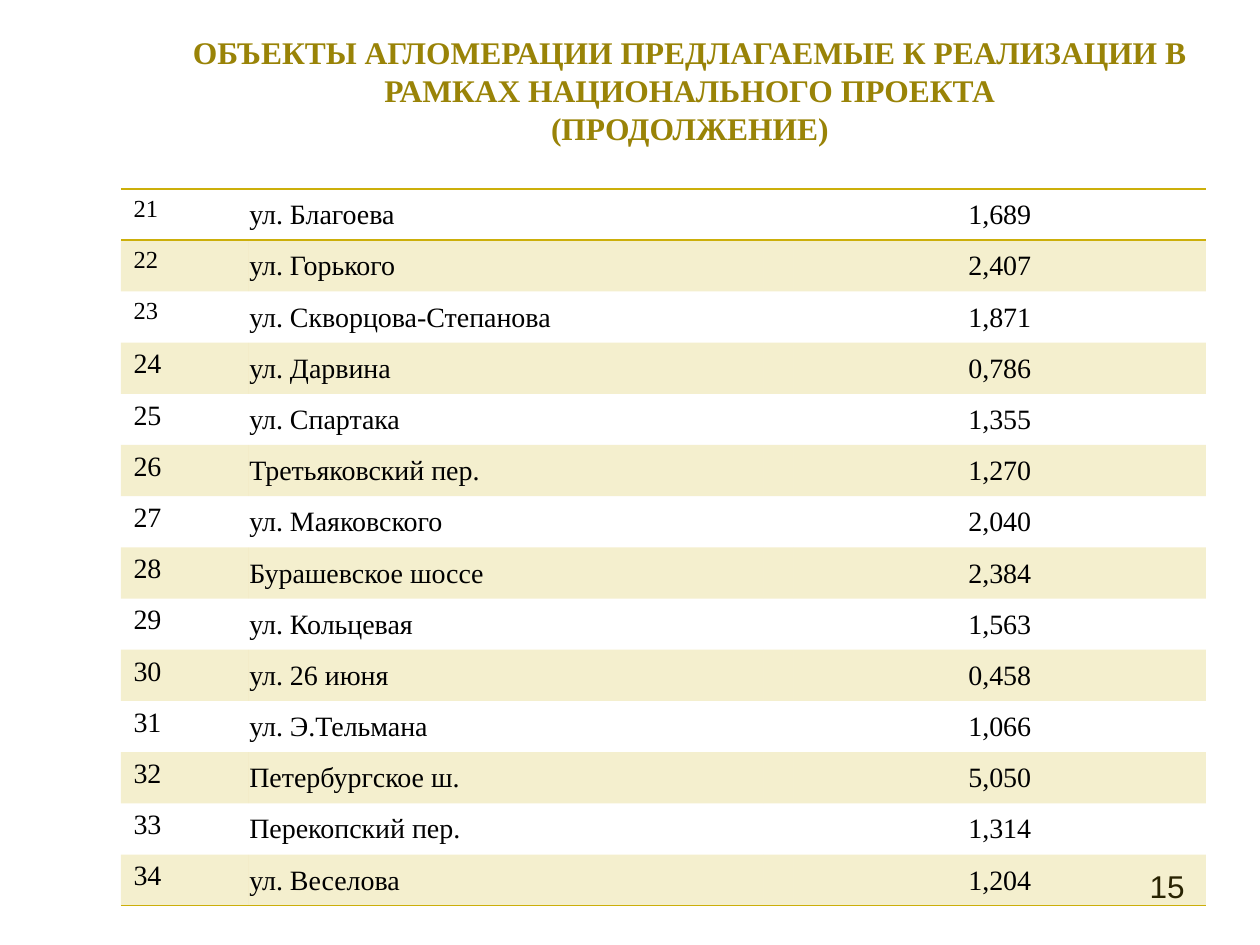
from dataclasses import dataclass

from lxml.etree import SubElement
from pptx import Presentation
from pptx.dml.color import RGBColor
from pptx.enum.text import MSO_ANCHOR as Anchor, PP_ALIGN as Align
from pptx.oxml.ns import qn
from pptx.util import Pt

GOLD = RGBColor(0xCC, 0xAF, 0x0A)
DARK_GOLD = RGBColor(0x99, 0x83, 0x07)
BLACK = RGBColor(0, 0, 0)
SERIF, SANS = "Times New Roman", "Arial"
NO_STYLE = "{2D5ABB26-0587-4C30-8999-92F81FD0307C}"
FIRST_NUMBER = 21
SMALL_NUMBERS = 3
COLUMNS = (72.7, 294.5, 16.6, 235.6)
ROW_HEIGHT = 29.26


@dataclass
class Street:
    name: str
    length: str


STREETS = [
    Street("ул. Благоева", "1,689"),
    Street("ул. Горького", "2,407"),
    Street("ул. Скворцова-Степанова", "1,871"),
    Street("ул. Дарвина", "0,786"),
    Street("ул. Спартака", "1,355"),
    Street("Третьяковский пер.", "1,270"),
    Street("ул. Маяковского", "2,040"),
    Street("Бурашевское шоссе", "2,384"),
    Street("ул. Кольцевая", "1,563"),
    Street("ул. 26 июня", "0,458"),
    Street("ул. Э.Тельмана", "1,066"),
    Street("Петербургское ш.", "5,050"),
    Street("Перекопский пер.", "1,314"),
    Street("ул. Веселова", "1,204"),
]


def style_text(tf, size: float, font: str, color: RGBColor,
               align: Align = Align.LEFT, bold: bool = False) -> None:
    for p in tf.paragraphs:
        p.alignment = align
        for r in p.runs:
            r.font.size, r.font.name, r.font.bold = Pt(size), font, bold
            r.font.color.rgb = color


def add_text(s, text: str, left: float, top: float, width: float, height: float):
    tf = s.shapes.add_textbox(Pt(left), Pt(top), Pt(width), Pt(height)).text_frame
    tf.word_wrap = True
    tf.text = text
    return tf


def add_border(cell, side: str) -> None:
    ln = SubElement(cell._tc.get_or_add_tcPr(), qn(f"a:{side}"), w=str(Pt(1)))
    fill = SubElement(ln, qn("a:solidFill"))
    SubElement(fill, qn("a:srgbClr"), val=str(GOLD))


def fill_band(cell) -> None:
    cell.fill.solid()
    cell.fill.fore_color.rgb = GOLD
    color = cell._tc.tcPr.find(qn("a:solidFill")).find(qn("a:srgbClr"))
    SubElement(color, qn("a:alpha"), val="20000")


def add_streets(s) -> None:
    frame = s.shapes.add_table(len(STREETS), len(COLUMNS), Pt(69.1), Pt(108),
                               Pt(sum(COLUMNS)), Pt(ROW_HEIGHT * len(STREETS)))
    table = frame.table
    table.first_row = table.horz_banding = False
    table._tbl.tblPr.find(qn("a:tableStyleId")).text = NO_STYLE
    for column, width in zip(table.columns, COLUMNS):
        column.width = Pt(width)

    for i, street in enumerate(STREETS):
        table.rows[i].height = Pt(ROW_HEIGHT)
        texts = (str(FIRST_NUMBER + i), street.name, "", street.length)
        for j, text in enumerate(texts):
            cell = table.cell(i, j)
            if text:
                cell.text = text
                size = 14 if j == 0 and i < SMALL_NUMBERS else 16
                align = Align.CENTER if j == 3 else Align.LEFT
                style_text(cell.text_frame, size, SERIF, BLACK, align)
            if j in (1, 3):
                cell.vertical_anchor = Anchor.MIDDLE
                cell.margin_left = cell.margin_right = cell.margin_top = Pt(0.72)
                cell.margin_bottom = Pt(0)
            # Borders come before the fill in the cell properties
            if i == 0:
                add_border(cell, "lnT")
            if i in (0, len(STREETS) - 1):
                add_border(cell, "lnB")
            if i % 2:
                fill_band(cell)
            else:
                cell.fill.background()


prs = Presentation()
prs.slide_width, prs.slide_height = Pt(720), Pt(540)
s = prs.slides.add_slide(prs.slide_layouts[6])

# Page number, under the translucent last row
number = add_text(s, "15", 516.2, 491.8, 167.8, 37.4)
style_text(number, 18, SANS, BLACK, Align.RIGHT)

# Streets and their lengths
add_streets(s)

# Title
title = add_text(s, "ОБЪЕКТЫ АГЛОМЕРАЦИИ ПРЕДЛАГАЕМЫЕ К РЕАЛИЗАЦИИ В РАМКАХ "
                    "НАЦИОНАЛЬНОГО ПРОЕКТА\n(ПРОДОЛЖЕНИЕ)", 68.4, 20.9, 651.6, 61.2)
title.vertical_anchor = Anchor.MIDDLE
style_text(title, 18, SERIF, DARK_GOLD, Align.CENTER, bold=True)

prs.save("out.pptx")
